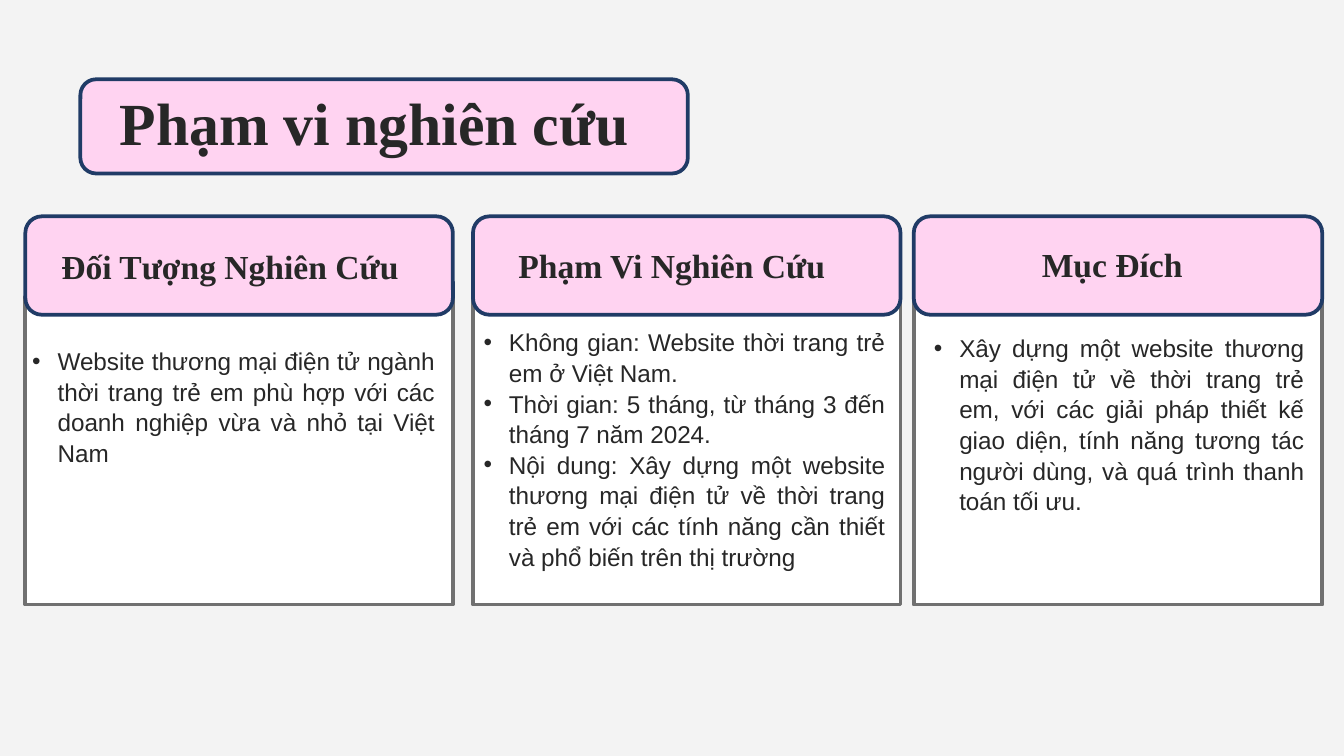
from dataclasses import dataclass

from lxml import etree
from pptx import Presentation
from pptx import util as u
from pptx.dml.color import RGBColor
from pptx.enum import shapes, text
from pptx.oxml import ns

Box = tuple[float, float, float, float]  # left, top, width, height in cm


@dataclass(frozen=True)
class Theme:
    page: str = "F3F3F3"
    white: str = "FFFFFF"
    pink: str = "FFD3F1"
    navy: str = "203B66"
    gray: str = "707070"
    ink: str = "272727"
    serif: str = "Times New Roman"
    sans: str = "Arial"
    title: float = 32
    head: float = 18
    body: float = 13
    edge: float = 2
    inset: float = 0.25
    indent: float = 0.48


@dataclass(frozen=True)
class Card:
    left: float
    width: float
    head: str
    head_box: Box
    points: tuple[str, ...]
    body_box: Box
    align: text.PP_ALIGN = text.PP_ALIGN.JUSTIFY


THEME = Theme()
KIND = shapes.MSO_SHAPE
HEAD_TOP, HEAD_TALL = 4.09, 1.86
BODY_TOP, BODY_TALL = 5.61, 5.82
TITLE = "Phạm vi nghiên cứu"

CARDS = (
    Card(0.48, 8.08, "Đối Tượng Nghiên Cứu", (0.91, 4.14, 7.67, 1.78),
         ("Website thương mại điện tử ngành thời trang trẻ em phù hợp với "
          "các doanh nghiệp vừa và nhỏ tại Việt Nam",),
         (0.36, 5.66, 8.1, 4.04)),
    Card(8.94, 8.08, "Phạm Vi Nghiên Cứu", (9.55, 4.22, 7.72, 1.6),
         ("Không gian: Website thời trang trẻ em ở Việt Nam.",
          "Thời gian: 5 tháng, từ tháng 3 đến tháng 7 năm 2024.",
          "Nội dung: Xây dựng một website thương mại điện tử về thời trang "
          "trẻ em với các tính năng cần thiết và phổ biến trên thị trường"),
         (8.89, 5.94, 8.08, 5.08)),
    Card(17.27, 7.72, "Mục Đích", (18.01, 4.17, 6.02, 1.65),
         ("Xây dựng một website thương mại điện tử về thời trang trẻ em, "
          "với các giải pháp thiết kế giao diện, tính năng tương tác người "
          "dùng, và quá trình thanh toán tối ưu.",),
         (17.4, 6.32, 7.49, 3.38), text.PP_ALIGN.CENTER),
)


def apply(item, values: dict) -> None:
    for name, value in values.items():
        setattr(item, name, value)


def color(code: str) -> RGBColor:
    return RGBColor.from_string(code)


def place(box: Box) -> list[u.Cm]:
    return [u.Cm(n) for n in box]


def panel(slide, kind: KIND, box: Box, fill: str, edge: str) -> None:
    item = slide.shapes.add_shape(kind, *place(box))
    item.shadow.inherit = False
    item.fill.solid()
    item.fill.fore_color.rgb = color(fill)
    item.line.color.rgb = color(edge)
    item.line.width = u.Pt(THEME.edge)


def bullet(para) -> None:
    props = para._p.get_or_add_pPr()
    gap = u.Cm(THEME.indent)
    props.set("marL", str(gap))
    props.set("indent", str(-gap))
    tint = etree.SubElement(props, ns.qn("a:buClr"))
    etree.SubElement(tint, ns.qn("a:srgbClr"), val=THEME.ink)
    etree.SubElement(props, ns.qn("a:buFont"), typeface=THEME.sans)
    etree.SubElement(props, ns.qn("a:buChar"), char="•")


def write(item, lines: tuple[str, ...], size: float, face: str,
          bold: bool = True, align: text.PP_ALIGN = text.PP_ALIGN.JUSTIFY,
          dots: bool = False) -> None:
    frame = item.text_frame
    pad = u.Cm(THEME.inset)
    apply(frame, {
        "word_wrap": True, "auto_size": text.MSO_AUTO_SIZE.NONE,
        "vertical_anchor": text.MSO_ANCHOR.MIDDLE,
        "margin_left": pad, "margin_right": pad,
        "margin_top": pad, "margin_bottom": pad,
    })
    for i, line in enumerate(lines):
        para = frame.add_paragraph() if i else frame.paragraphs[0]
        para.alignment = align
        if dots:
            para.line_spacing = 1.05
            bullet(para)
        run = para.add_run()
        run.text = line
        apply(run.font, {"size": u.Pt(size), "name": face, "bold": bold})
        run.font.color.rgb = color(THEME.ink)


def draw_card(slide, card: Card) -> None:
    # Body panel, then the header that overlaps it
    panel(slide, KIND.RECTANGLE, (card.left, BODY_TOP, card.width, BODY_TALL),
          THEME.white, THEME.gray)
    panel(slide, KIND.ROUNDED_RECTANGLE,
          (card.left, HEAD_TOP, card.width, HEAD_TALL),
          THEME.pink, THEME.navy)
    # Header and bullet text
    head = slide.shapes.add_textbox(*place(card.head_box))
    write(head, (card.head,), THEME.head, THEME.serif, align=card.align)
    body = slide.shapes.add_textbox(*place(card.body_box))
    write(body, card.points, THEME.body, THEME.sans, bold=False, dots=True)


def draw_title(slide) -> None:
    panel(slide, KIND.ROUNDED_RECTANGLE, (1.52, 1.5, 11.48, 1.78),
          THEME.pink, THEME.navy)
    title = slide.shapes.title
    left, top, width, height = place((2.01, 1.5, 21.41, 1.6))
    apply(title, {"left": left, "top": top, "width": width, "height": height})
    write(title, (TITLE,), THEME.title, THEME.serif)
    # Bring the title in front of its panel
    slide.shapes._spTree.append(title._element)


def main() -> None:
    deck = Presentation()
    apply(deck, {"slide_width": u.Cm(25.4), "slide_height": u.Cm(14.29)})
    slide = deck.slides.add_slide(deck.slide_layouts[5])
    slide.background.fill.solid()
    slide.background.fill.fore_color.rgb = color(THEME.page)
    for card in CARDS:
        draw_card(slide, card)
    draw_title(slide)
    deck.save("out.pptx")


if __name__ == "__main__":
    main()
